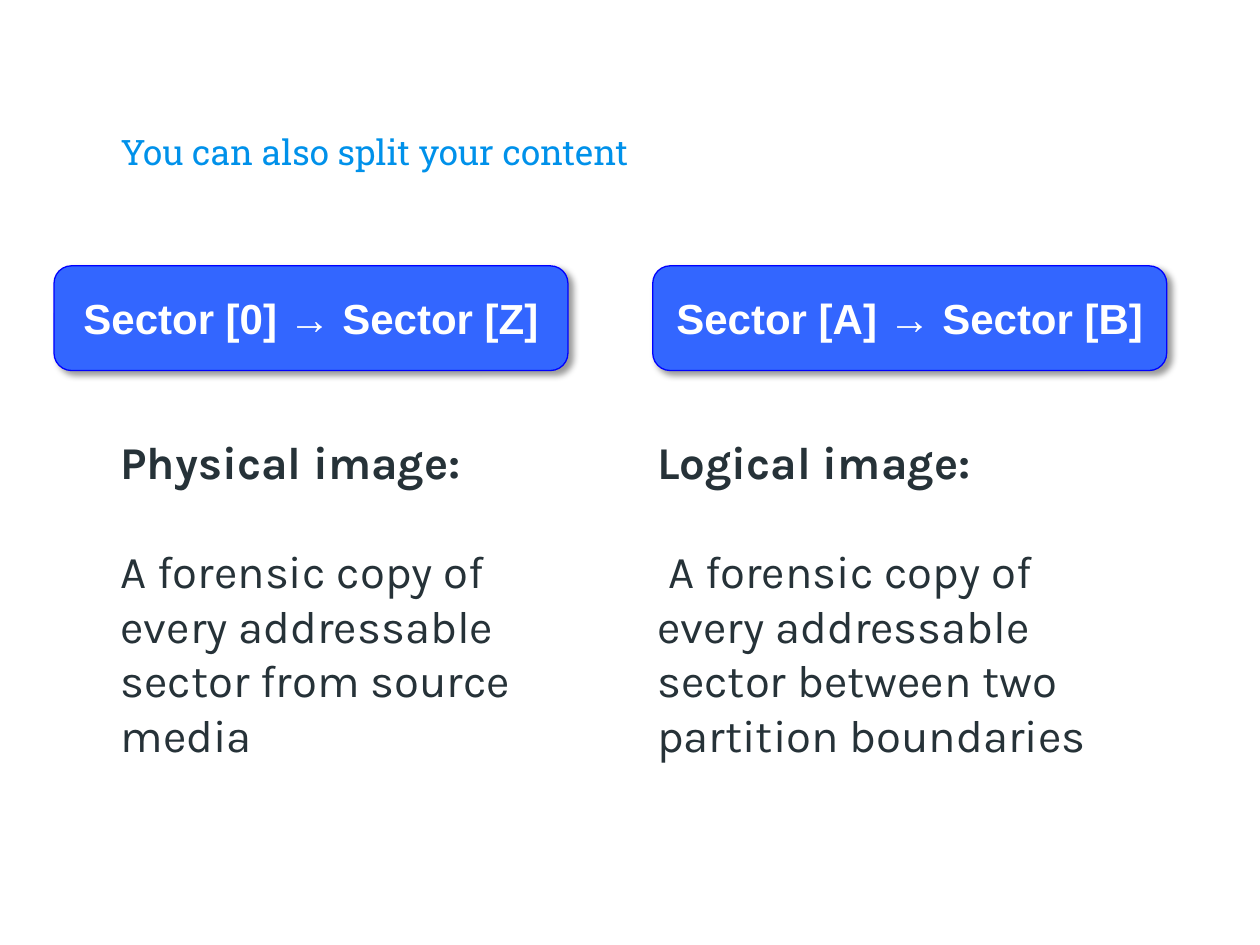
from lxml import etree
from pptx import Presentation
from pptx.dml.color import RGBColor
from pptx.enum import shapes, text
from pptx.oxml import ns
from pptx.util import Cm, Pt

TITLE_BLUE = RGBColor(0x00, 0x91, 0xEA)
BODY_SLATE = RGBColor(0x26, 0x32, 0x38)
BANNER_FILL = RGBColor(0x33, 0x66, 0xFF)
BANNER_LINE = RGBColor(0x00, 0x00, 0xFF)
WHITE = RGBColor(0xFF, 0xFF, 0xFF)

SHADOW = (
    f'<a:effectLst {ns.nsdecls("a")}>'
    '<a:outerShdw blurRad="50800" dist="38100" dir="2700000" algn="tl" rotWithShape="0">'
    '<a:srgbClr val="000000"><a:alpha val="40000"/></a:srgbClr>'
    '</a:outerShdw></a:effectLst>'
)

# Banner text, heading, description, first-line indent of the description
COLUMNS = [
    ("Sector [0] → Sector [Z]", "Physical image:",
     "A forensic copy of every addressable sector from source media", Cm(0)),
    ("Sector [A] → Sector [B]", "Logical image:",
     "A forensic copy of every addressable sector between two partition boundaries",
     Cm(0.22)),
]
BANNER_LEFTS = (Cm(1.09), Cm(13.16))
BODY_LEFTS = (Cm(2.18), Cm(13))


def set_frame(frame, margin, anchor):
    frame.word_wrap = True
    frame.auto_size = text.MSO_AUTO_SIZE.NONE
    frame.vertical_anchor = anchor
    frame.margin_left = frame.margin_right = margin
    frame.margin_top = frame.margin_bottom = margin


def format_runs(para, name, size, color, bold=False):
    for span in para.runs:
        span.font.name = name
        span.font.size = Pt(size)
        span.font.color.rgb = color
        span.font.bold = bold


def place_title(page, left, top, width, height):
    title = page.shapes.title
    title.left, title.top, title.width, title.height = left, top, width, height
    frame = title.text_frame
    set_frame(frame, Cm(0.25), text.MSO_ANCHOR.BOTTOM)
    frame.text = "You can also split your content"
    para = frame.paragraphs[0]
    para.alignment = text.PP_ALIGN.LEFT
    format_runs(para, "Roboto Slab", 20, TITLE_BLUE)


def add_banner(page, label, left, top, width, height):
    banner = page.shapes.add_shape(
        shapes.MSO_SHAPE.ROUNDED_RECTANGLE, left, top, width, height)
    banner.fill.solid()
    banner.fill.fore_color.rgb = BANNER_FILL
    banner.line.color.rgb = BANNER_LINE
    banner.line.width = Pt(0.75)
    banner._element.spPr.append(etree.fromstring(SHADOW))
    frame = banner.text_frame
    set_frame(frame, Cm(0.03), text.MSO_ANCHOR.MIDDLE)
    frame.text = label
    para = frame.paragraphs[0]
    para.alignment = text.PP_ALIGN.CENTER
    para.space_after = Pt(2)
    format_runs(para, "Arial", 24, WHITE, bold=True)


def add_definition(page, heading, description, indent, left, top, width, height):
    box = page.shapes.add_textbox(left, top, width, height)
    frame = box.text_frame
    set_frame(frame, Cm(0.25), text.MSO_ANCHOR.TOP)
    frame.text = f"{heading}\n{description}"
    term, meaning = frame.paragraphs
    format_runs(term, "Karla", 26, BODY_SLATE, bold=True)
    format_runs(meaning, "Karla", 26, BODY_SLATE)
    meaning.space_before = Pt(31)
    meaning._p.get_or_add_pPr().set("indent", str(indent))


def main():
    deck = Presentation()
    deck.slide_width, deck.slide_height = Cm(25.4), Cm(19.05)
    page = deck.slides.add_slide(deck.slide_layouts[5])
    place_title(page, Cm(2.18), Cm(1.14), Cm(21.03), Cm(2.59))
    for column, banner_left, body_left in zip(COLUMNS, BANNER_LEFTS, BODY_LEFTS):
        label, heading, description, indent = column
        add_banner(page, label, banner_left, Cm(5.36), Cm(10.36), Cm(2.11))
        add_definition(page, heading, description, indent,
                       body_left, Cm(8.51), Cm(10.21), Cm(7.72))
    deck.save("out.pptx")


if __name__ == "__main__":
    main()
